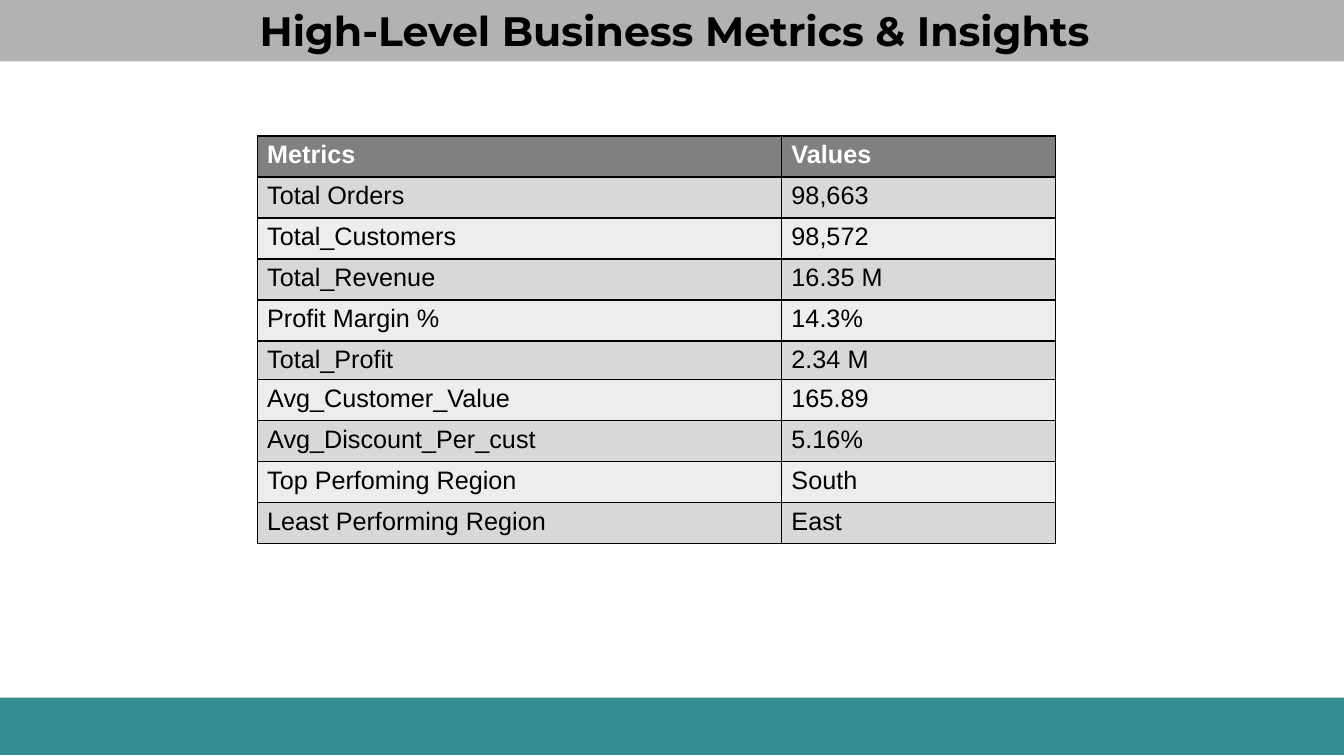
from pptx import Presentation
from pptx.dml.color import RGBColor
from pptx.enum.shapes import MSO_SHAPE as Shape
from pptx.enum.text import MSO_ANCHOR as Anchor, MSO_AUTO_SIZE as AutoSize, PP_ALIGN as Align
from pptx.oxml import parse_xml
from pptx.oxml.ns import nsdecls
from pptx.util import Inches, Pt

BLACK = RGBColor(0x00, 0x00, 0x00)
WHITE = RGBColor(0xFF, 0xFF, 0xFF)
TEAL = RGBColor(0x34, 0x8E, 0x90)
SILVER = RGBColor(0xB2, 0xB2, 0xB2)
HEADER_GREY = RGBColor(0x80, 0x80, 0x80)
BAND_DARK = RGBColor(0xD8, 0xD8, 0xD8)
BAND_LIGHT = RGBColor(0xED, 0xED, 0xED)

METRICS = [
    ("Metrics", "Values"),
    ("Total Orders", "98,663"),
    ("Total_Customers", "98,572"),
    ("Total_Revenue", "16.35 M"),
    ("Profit Margin %", "14.3%"),
    ("Total_Profit", "2.34 M"),
    ("Avg_Customer_Value", "165.89"),
    ("Avg_Discount_Per_cust", "5.16%"),
    ("Top Perfoming Region", "South"),
    ("Least Performing Region", "East"),
]
COLUMN_WIDTHS = (5.2, 2.72)
ROW_HEIGHT = 0.407
PROFIT_ROW, PROFIT_HEIGHT = 5, 0.37


class MetricsSlide:
    title_font = "Montserrat"
    body_font = "Arial"

    def __init__(self, deck):
        self.slide = deck.slides.add_slide(deck.slide_layouts[5])

    def style(self, paragraph, font_name, size, color, bold):
        for run in paragraph.runs:
            font = run.font
            font.name, font.size, font.bold = font_name, Pt(size), bold
            font.color.rgb = color

    def band(self, left, top, width, height, color):
        bar = self.slide.shapes.add_shape(
            Shape.RECTANGLE, Inches(left), Inches(top), Inches(width), Inches(height))
        bar.shadow.inherit = False
        bar.fill.solid()
        bar.fill.fore_color.rgb = color
        bar.line.fill.background()

    def title(self, wording, left, top, width, height):
        heading = self.slide.shapes.title
        heading.left, heading.top = Inches(left), Inches(top)
        heading.width, heading.height = Inches(width), Inches(height)
        heading.fill.solid()
        heading.fill.fore_color.rgb = SILVER
        frame = heading.text_frame
        frame.text = wording
        frame.word_wrap = True
        frame.auto_size = AutoSize.NONE
        frame.vertical_anchor = Anchor.MIDDLE
        frame.margin_top = frame.margin_bottom = 0
        frame.paragraphs[0].alignment = Align.CENTER
        self.style(frame.paragraphs[0], self.title_font, 29.3, BLACK, True)

    def border(self, cell):
        properties = cell._tc.get_or_add_tcPr()
        for side in ("lnL", "lnR", "lnT", "lnB"):
            properties.append(parse_xml(
                f'<a:{side} {nsdecls("a")} w="{Pt(1)}"><a:solidFill>'
                f'<a:srgbClr val="{BLACK}"/></a:solidFill></a:{side}>'))

    def cell(self, cell, wording, fill, color, bold):
        cell.text_frame.text = wording
        self.style(cell.text_frame.paragraphs[0], self.body_font, 18, color, bold)
        self.border(cell)
        cell.fill.solid()
        cell.fill.fore_color.rgb = fill

    def table(self, rows, left, top):
        heights = [ROW_HEIGHT] * len(rows)
        heights[PROFIT_ROW] = PROFIT_HEIGHT
        grid = self.slide.shapes.add_table(
            len(rows), len(COLUMN_WIDTHS), Inches(left), Inches(top),
            Inches(sum(COLUMN_WIDTHS)), Inches(sum(heights))).table
        for column, width in zip(grid.columns, COLUMN_WIDTHS):
            column.width = Inches(width)
        for index, (metric, height) in enumerate(zip(rows, heights)):
            grid.rows[index].height = Inches(height)
            header = index == 0
            fill = HEADER_GREY if header else BAND_DARK if index % 2 else BAND_LIGHT
            for column, wording in enumerate(metric):
                self.cell(grid.cell(index, column), wording, fill,
                          WHITE if header else BLACK, header)


def main():
    deck = Presentation()
    deck.slide_width, deck.slide_height = Inches(13.33), Inches(7.5)
    page = MetricsSlide(deck)
    page.band(0, 6.92, 13.33, 0.57, TEAL)
    page.table(METRICS, 2.55, 1.35)
    page.title("High-Level Business Metrics & Insights", 0, -0.02, 13.38, 0.63)
    deck.save("out.pptx")


if __name__ == "__main__":
    main()
